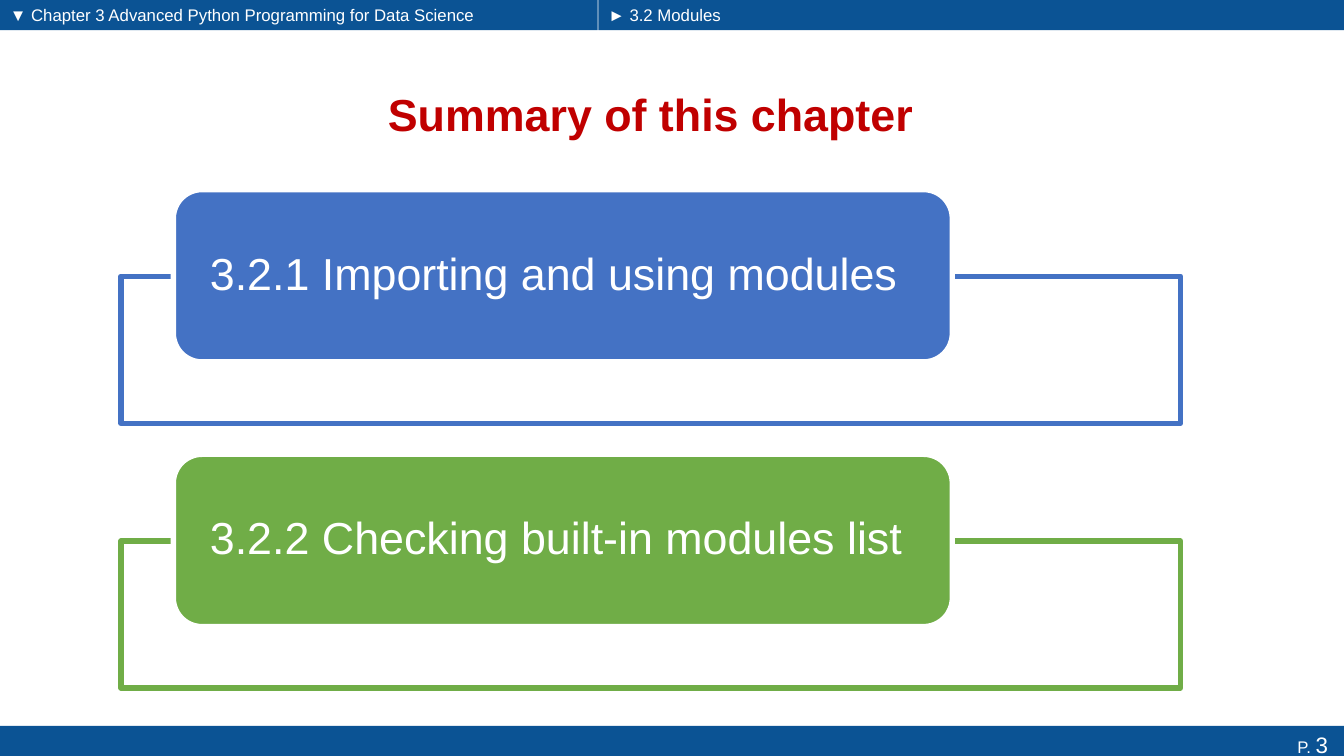
from dataclasses import dataclass

from lxml import etree
from pptx import Presentation
from pptx.dml.color import RGBColor
from pptx.enum import shapes, text
from pptx.oxml import ns
from pptx.shapes.autoshape import Shape
from pptx.util import Cm, Pt

FONT = "Arial"
WHITE = "FFFFFF"
NAVY = "0B5394"
RED = "C00000"
SLIDE_W, SLIDE_H = 33.87, 19.05
LINE_WIDTH = 3.78
CARD_TOP, CARD_STEP = 4.78, 6.67
RECT = shapes.MSO_SHAPE.RECTANGLE
ROUNDED = shapes.MSO_SHAPE.ROUNDED_RECTANGLE


@dataclass
class Box:
    left: float
    top: float
    width: float
    height: float


@dataclass
class HeaderBar:
    label: str
    box: Box


@dataclass
class Section:
    label: str
    color: str


HEADER_BARS = [
    HeaderBar("▼ Chapter 3 Advanced Python Programming for Data Science",
              Box(0, 0, 15.06, 0.76)),
    HeaderBar("► 3.2 Modules", Box(15.08, 0, 18.79, 0.76)),
]
SECTIONS = [
    Section("3.2.1 Importing and using modules", "4472C4"),
    Section("3.2.2 Checking built-in modules list", "70AD47"),
]


def rgb(color: str) -> RGBColor:
    return RGBColor.from_string(color)


def add_box(s, kind, box: Box, fill: str, line: str | None = None) -> Shape:
    sp = s.shapes.add_shape(kind, Cm(box.left), Cm(box.top),
                            Cm(box.width), Cm(box.height))
    sp.shadow.inherit = False
    sp.fill.solid()
    sp.fill.fore_color.rgb = rgb(fill)
    if line:
        sp.line.color.rgb = rgb(line)
        sp.line.width = Pt(LINE_WIDTH)
    else:
        sp.line.fill.background()
    return sp


def format_text(sp, size: float, color: str, align: text.PP_ALIGN,
                inset: float = 0.25, bold: bool = False):
    """Format a one-paragraph shape and return its paragraph."""
    tf = sp.text_frame
    tf.word_wrap = True
    tf.vertical_anchor = text.MSO_ANCHOR.MIDDLE
    tf.margin_left = tf.margin_right = Cm(inset)
    tf.margin_top = tf.margin_bottom = 0
    p = tf.paragraphs[0]
    p.alignment = align
    p.font.name = FONT
    p.font.size = Pt(size)
    p.font.bold = bold
    p.font.color.rgb = rgb(color)
    return p


def set_opacity(sp: Shape, percent: int) -> None:
    clr = sp.fill._xPr.find(ns.qn("a:solidFill")).find(ns.qn("a:srgbClr"))
    etree.SubElement(clr, ns.qn("a:alpha")).set("val", str(percent * 1000))


def add_title(s) -> None:
    title = s.shapes.title
    title.left, title.top = Cm(6.38), Cm(1.73)
    title.width, title.height = Cm(20.04), Cm(2.29)
    title.text_frame.text = "Summary of this chapter"
    format_text(title, 32, RED, text.PP_ALIGN.CENTER, bold=True)


def add_header_bar(s, bar: HeaderBar) -> None:
    sp = add_box(s, RECT, bar.box, NAVY)
    sp.text_frame.text = bar.label
    format_text(sp, 12, WHITE, text.PP_ALIGN.LEFT)


def add_footer(s) -> None:
    sp = add_box(s, RECT, Box(0, 18.29, SLIDE_W, 0.94), NAVY)
    p = format_text(sp, 12, WHITE, text.PP_ALIGN.RIGHT, inset=0.4)
    p.add_run().text = "P. "
    number = p.add_run()
    number.text = "3"
    number.font.size = Pt(16)


def add_section(s, section: Section, top: float) -> None:
    frame = add_box(s, RECT, Box(3.05, top + 2.18, 26.7, 3.71),
                    WHITE, section.color)
    set_opacity(frame, 90)
    card = add_box(s, ROUNDED, Box(4.37, top, 19.63, 4.34),
                   section.color, WHITE)
    card.text_frame.text = section.label
    p = format_text(card, 32, WHITE, text.PP_ALIGN.LEFT, inset=0.71)
    p.line_spacing = 0.9


def main() -> None:
    prs = Presentation()
    prs.slide_width, prs.slide_height = Cm(SLIDE_W), Cm(SLIDE_H)
    s = prs.slides.add_slide(prs.slide_layouts[5])
    add_title(s)
    for bar in HEADER_BARS:
        add_header_bar(s, bar)
    for i, section in enumerate(SECTIONS):
        add_section(s, section, CARD_TOP + i * CARD_STEP)
    add_footer(s)
    prs.save("out.pptx")


if __name__ == "__main__":
    main()
